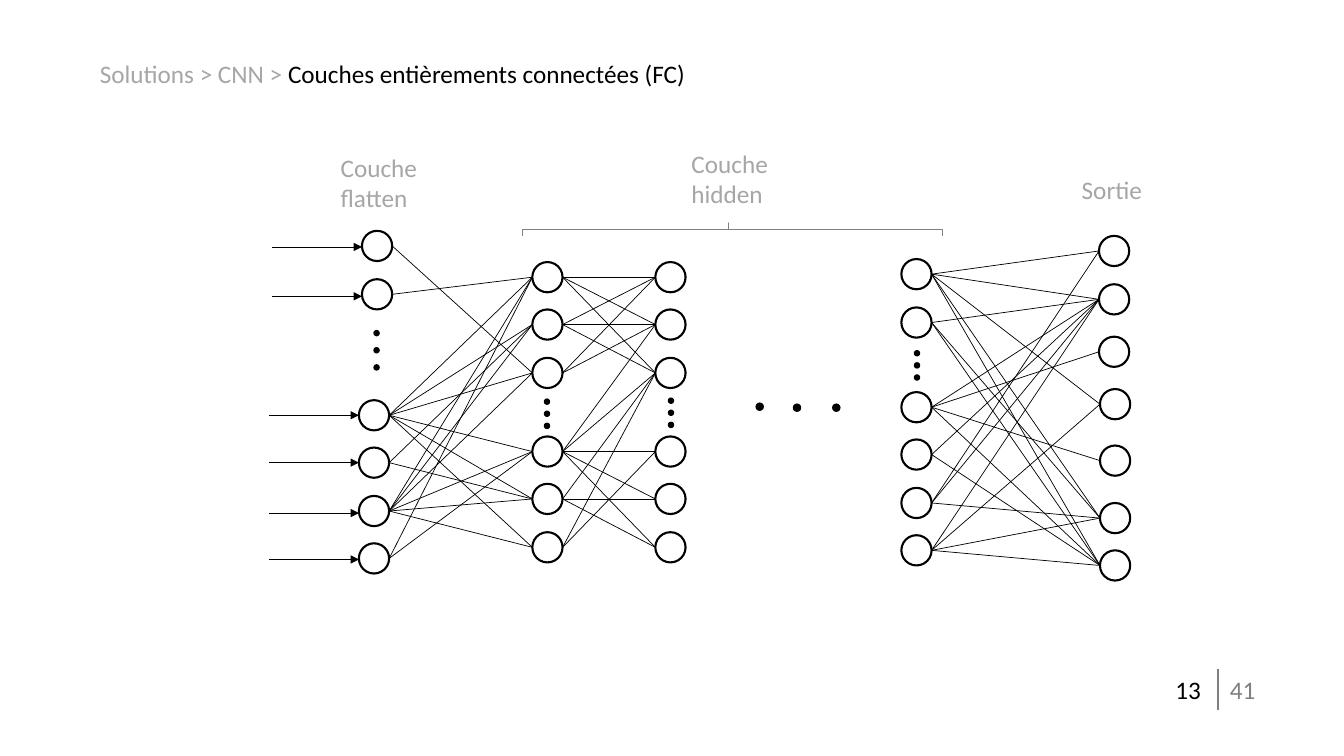
"""Build the slide on the fully connected layers of a CNN."""
from lxml import etree
from pptx import Presentation
from pptx.dml.color import RGBColor
from pptx.enum.shapes import MSO_CONNECTOR, MSO_SHAPE
from pptx.enum.text import MSO_ANCHOR, MSO_AUTO_SIZE, PP_ALIGN
from pptx.oxml.ns import qn
from pptx.util import Inches, Pt

STRAIGHT = MSO_CONNECTOR.STRAIGHT
OVAL, BRACE = MSO_SHAPE.OVAL, MSO_SHAPE.LEFT_BRACE
TOP, LEFT = MSO_ANCHOR.TOP, PP_ALIGN.LEFT
GROW = MSO_AUTO_SIZE.SHAPE_TO_FIT_TEXT
BLACK, GRAY, LIGHT = "000000", "808080", "A6A6A6"
NODE = 0.3
RADIUS = NODE / 2


def add_text(p, text, size=18, color=BLACK, font="Calibri"):
    r = p.add_run()
    r.text = text
    r.font.size = Pt(size)
    r.font.name = font
    r.font.bold = False
    r.font.color.rgb = RGBColor.from_string(color)


def add_line(x1, y1, x2, y2, color=BLACK, width=0.5, arrow=False):
    cx = s.shapes.add_connector(STRAIGHT, Inches(x1), Inches(y1), Inches(x2), Inches(y2))
    cx.line.color.rgb = RGBColor.from_string(color)
    cx.line.width = Pt(width)
    if arrow:
        etree.SubElement(cx.line._get_or_add_ln(), qn("a:tailEnd"), type="triangle")
    etree.SubElement(cx._element.spPr, qn("a:effectLst"))


prs = Presentation()
prs.slide_width, prs.slide_height = Inches(13.33), Inches(7.5)
s = prs.slides.add_slide(prs.slide_layouts[5])

title = s.shapes.title
title.left, title.top = Inches(0.89), Inches(0.53)
title.width, title.height = Inches(7.41), Inches(0.4)
tf = title.text_frame
tf.vertical_anchor = TOP
tf.auto_size = GROW
p = tf.paragraphs[0]
p.alignment = LEFT
add_text(p, "Solutions > CNN >", color=LIGHT)
add_text(p, " Couches entièrements connectées (FC)")

labels = [
    (3.28, 1.46, 1.38, ["Couche", "flatten"], LIGHT),
    (6.76, 1.42, 1.38, ["Couche", "hidden"], LIGHT),
    (10.63, 1.68, 1.38, ["Sortie"], LIGHT),
    (11.56, 6.64, 0.54, ["13"], BLACK),
    (12.1, 6.64, 0.54, ["41"], GRAY),
]
for x, y, w, lines, color in labels:
    height = 0.1 + 0.3 * len(lines)
    tf = s.shapes.add_textbox(Inches(x), Inches(y), Inches(w), Inches(height)).text_frame
    tf.word_wrap = True
    tf.auto_size = GROW
    for i, line in enumerate(lines):
        p = tf.add_paragraph() if i else tf.paragraphs[0]
        add_text(p, line, color=color)
add_line(12.08, 6.64, 12.08, 7.04, color=GRAY, width=1.5)

hidden_tops = [2.6, 3.07, 3.55, 4.33, 4.8, 5.28]
flatten = [(3.59, 2.29), (3.59, 2.77), (3.56, 3.97), (3.56, 4.44), (3.56, 4.92), (3.56, 5.39)]
hidden_1 = [(5.28, y) for y in hidden_tops]
hidden_2 = [(6.5, y) for y in hidden_tops]
hidden_n = [(8.94, y) for y in (2.57, 3.05, 3.89, 4.36, 4.84, 5.31)]
output = [(10.9, 2.34), (10.9, 2.82), (10.9, 3.34), (10.91, 3.86),
          (10.91, 4.42), (10.91, 4.99), (10.91, 5.46)]

# Each row lists the target nodes of one source node.
links = [
    (flatten, hidden_1, [[2], [0], range(6), [1, 4], range(6), [0, 3]]),
    (hidden_1, hidden_2, [[0, 1, 2], [0, 1, 2], [0, 1], [1, 2, 3, 4, 5], [2, 4, 5], [2, 3]]),
    (hidden_n, output, [[0, 1, 3, 5, 6], [1, 5, 6], [1, 2, 4, 6], [1, 6], [0, 1, 5],
                        [1, 3, 5, 6]]),
]
for sources, targets, rows in links:
    for (x1, y1), row in zip(sources, rows):
        for x2, y2 in (targets[i] for i in row):
            add_line(x1 + NODE, y1 + RADIUS, x2, y2 + RADIUS)

for (x, _), y in zip(flatten, [2.45, 2.94, 4.12, 4.59, 5.09, 5.55]):
    add_line(x - 0.89, y, x, y, arrow=True)

nodes = flatten + hidden_1 + hidden_2 + hidden_n + output
dots = [(3.71, 3.28 + 0.17 * i) for i in range(3)]
for x, y in [(5.4, 3.96), (6.63, 3.95), (9.07, 3.48)]:
    dots += [(x, y + 0.12 * i) for i in range(3)]
wide_dots = [(7.5, 4), (7.87, 4.01), (8.26, 4.01)]
for places, size, width, filled in [(nodes, NODE, 1.5, False), (dots, 0.05, 1, True),
                                    (wide_dots, 0.07, 1, True)]:
    for x, y in places:
        sp = s.shapes.add_shape(OVAL, Inches(x), Inches(y), Inches(size), Inches(size))
        sp.shadow.inherit = False
        sp.line.color.rgb = RGBColor.from_string(BLACK)
        sp.line.width = Pt(width)
        if filled:
            sp.fill.solid()
            sp.fill.fore_color.rgb = RGBColor.from_string(BLACK)
        else:
            sp.fill.background()

brace = s.shapes.add_shape(BRACE, Inches(7.2), Inches(0.19), Inches(0.13), Inches(4.17))
brace.rotation = 90
brace.adjustments[0], brace.adjustments[1] = 0, 0.51
brace.shadow.inherit = False
brace.fill.background()
brace.line.color.rgb = RGBColor.from_string(GRAY)
brace.line.width = Pt(0.5)

prs.save("out.pptx")
